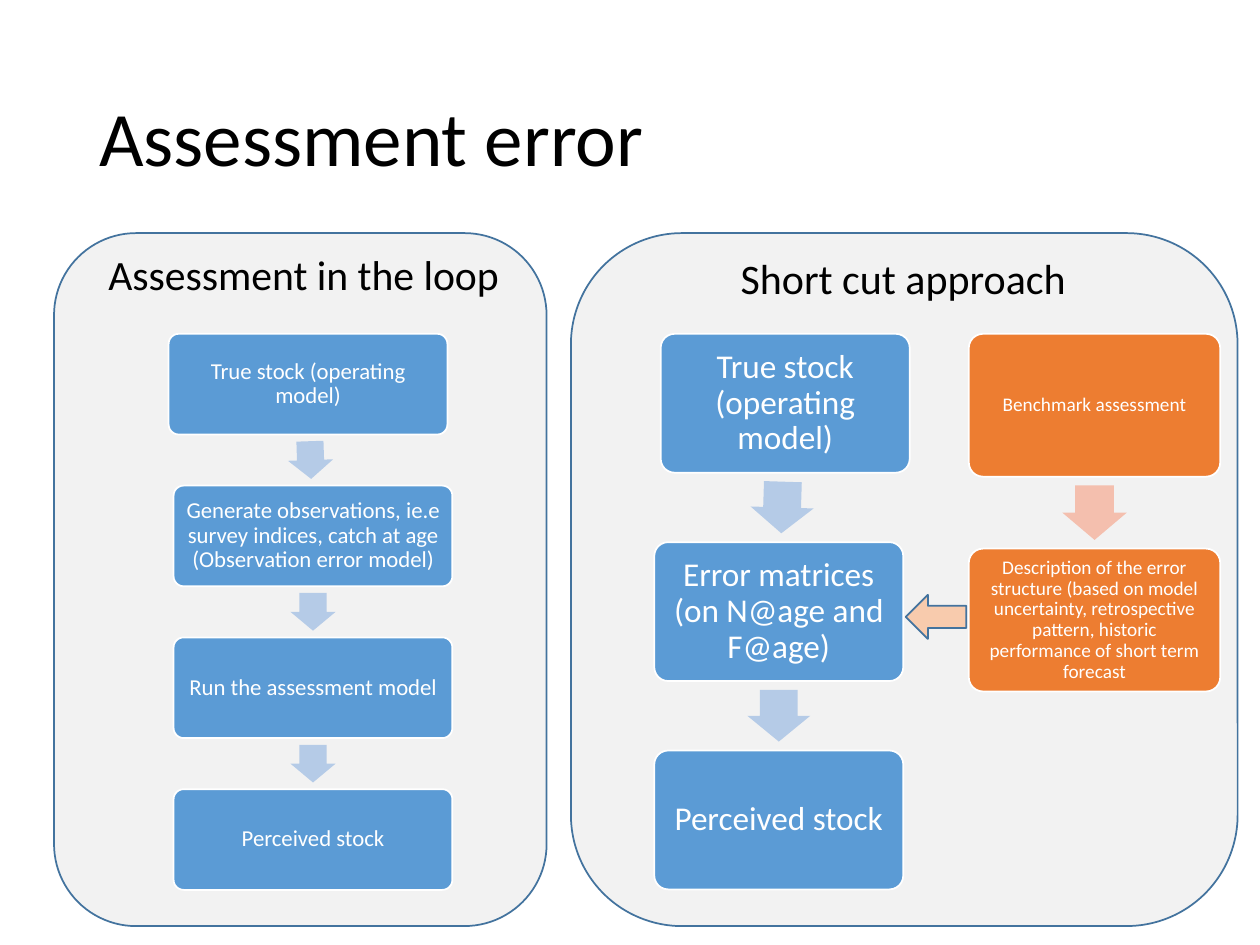
"""Build the slide comparing a full assessment loop with the short cut approach."""
from math import atan2, degrees

from pptx import Presentation
from pptx.dml.color import RGBColor
from pptx.enum.shapes import MSO_SHAPE
from pptx.enum.text import MSO_ANCHOR, PP_ALIGN
from pptx.util import Cm, Pt

ROUNDED, ARROW = MSO_SHAPE.ROUNDED_RECTANGLE, MSO_SHAPE.RIGHT_ARROW
TOP, MIDDLE = MSO_ANCHOR.TOP, MSO_ANCHOR.MIDDLE
LEFT, CENTER = PP_ALIGN.LEFT, PP_ALIGN.CENTER

FONT = "Calibri"
COLORS = {
    "panel": "F2F2F2", "outline": "43739E", "text": "000000", "white": "FFFFFF",
    "blue": "5B9BD5", "pale blue": "B5CBE7",
    "orange": "ED7D31", "pale orange": "F4BFAE", "peach": "F8CBAD",
}

PANELS = [(11.51, 4.7, 13.44, 13.97), (1.09, 4.7, 9.93, 13.97)]
HEADINGS = [
    ("Assessment error", (1.75, 1.02, 21.89, 3.68), 44, LEFT, MIDDLE, 0.9, 0),
    ("Assessment in the loop", (1.75, 5.08, 8.74, 1.78), 23.8, CENTER, TOP, 0.8, 10),
    ("Short cut approach", (13.84, 5.08, 8.74, 1.78), 24, CENTER, TOP, 0.9, 10),
]
FLOW_TOP = 6.73
FLOWS = [
    {
        "steps": [
            "True stock (operating model)",
            "Generate observations, ie.e survey indices, catch at age (Observation error model)",
            "Run the assessment model",
            "Perceived stock",
        ],
        "lefts": [3.4, 3.5, 3.5, 3.5], "box": (5.62, 2.03), "pitch": 3.06,
        "arrow": (0.76, 0.91), "size": 13, "inset": 0.13,
        "fill": "blue", "arrow fill": "pale blue",
    },
    {
        "steps": [
            "True stock (operating model)",
            "Error matrices (on N@age and F@age)",
            "Perceived stock",
        ],
        "lefts": [13.32, 13.19, 13.19], "box": (5.02, 2.8), "pitch": 4.2,
        "arrow": (1.04, 1.27), "size": 19, "inset": 0.2,
        "fill": "blue", "arrow fill": "pale blue",
    },
    {
        "steps": [
            "Benchmark assessment",
            "Description of the error structure (based on model uncertainty, "
            "retrospective pattern, historic performance of short term forecast",
        ],
        "lefts": [19.53, 19.53], "box": (5.07, 2.88), "pitch": 4.33,
        "arrow": (1.1, 1.3), "size": 11, "inset": 0.13,
        "fill": "orange", "arrow fill": "pale orange",
    },
]
ERROR_LINK = (18.26, 11.99, 1.22, 0.89)


def rgb(name):
    return RGBColor.from_string(COLORS[name])


def add_figure(slide, kind, place, fill, line=None):
    figure = slide.shapes.add_shape(kind, *map(Cm, place))
    figure.shadow.inherit = False
    figure.fill.solid()
    figure.fill.fore_color.rgb = rgb(fill)
    if line:
        figure.line.color.rgb = rgb(line)
        figure.line.width = Pt(1)
    else:
        figure.line.fill.background()
    return figure


def write(frame, wording, size, color, align, anchor, spacing=0.9, before=0):
    frame.word_wrap = True
    frame.vertical_anchor = anchor
    paragraph = frame.paragraphs[0]
    paragraph.alignment = align
    paragraph.line_spacing = spacing
    paragraph.space_before = Pt(before)
    run = paragraph.add_run()
    run.text = wording
    run.font.name = FONT
    run.font.size = Pt(size)
    run.font.color.rgb = rgb(color)


def add_step(slide, flow, wording, left, top):
    step = add_figure(slide, ROUNDED, (left, top, *flow["box"]), flow["fill"], "white")
    step.adjustments[0] = 0.1
    frame = step.text_frame
    frame.margin_left = frame.margin_right = Cm(flow["inset"])
    frame.margin_top = frame.margin_bottom = Cm(flow["inset"])
    write(frame, wording, flow["size"], "white", CENTER, MIDDLE)


def add_flow(slide, flow):
    width, height = flow["box"]
    length, breadth = flow["arrow"]
    lefts, pitch = flow["lefts"], flow["pitch"]
    for index, (wording, left) in enumerate(zip(flow["steps"], lefts)):
        top = FLOW_TOP + index * pitch
        add_step(slide, flow, wording, left, top)
        if index:
            previous = lefts[index - 1]
            center_x = (previous + left + width) / 2
            center_y = top - (pitch - height) / 2
            place = (center_x - length / 2, center_y - breadth / 2, length, breadth)
            arrow = add_figure(slide, ARROW, place, flow["arrow fill"])
            arrow.adjustments[0] = 0.6
            arrow.rotation = degrees(atan2(pitch, left - previous))


def main():
    deck = Presentation()
    deck.slide_width, deck.slide_height = Cm(25.4), Cm(19.05)
    slide = deck.slides.add_slide(deck.slide_layouts[6])
    for place in PANELS:
        add_figure(slide, ROUNDED, place, "panel", "outline")
    for wording, place, size, align, anchor, spacing, before in HEADINGS:
        heading = slide.shapes.add_textbox(*map(Cm, place))
        write(heading.text_frame, wording, size, "text", align, anchor, spacing, before)
    for flow in FLOWS:
        add_flow(slide, flow)
    add_figure(slide, ARROW, ERROR_LINK, "peach", "outline").rotation = 180
    deck.save("out.pptx")


if __name__ == "__main__":
    main()
